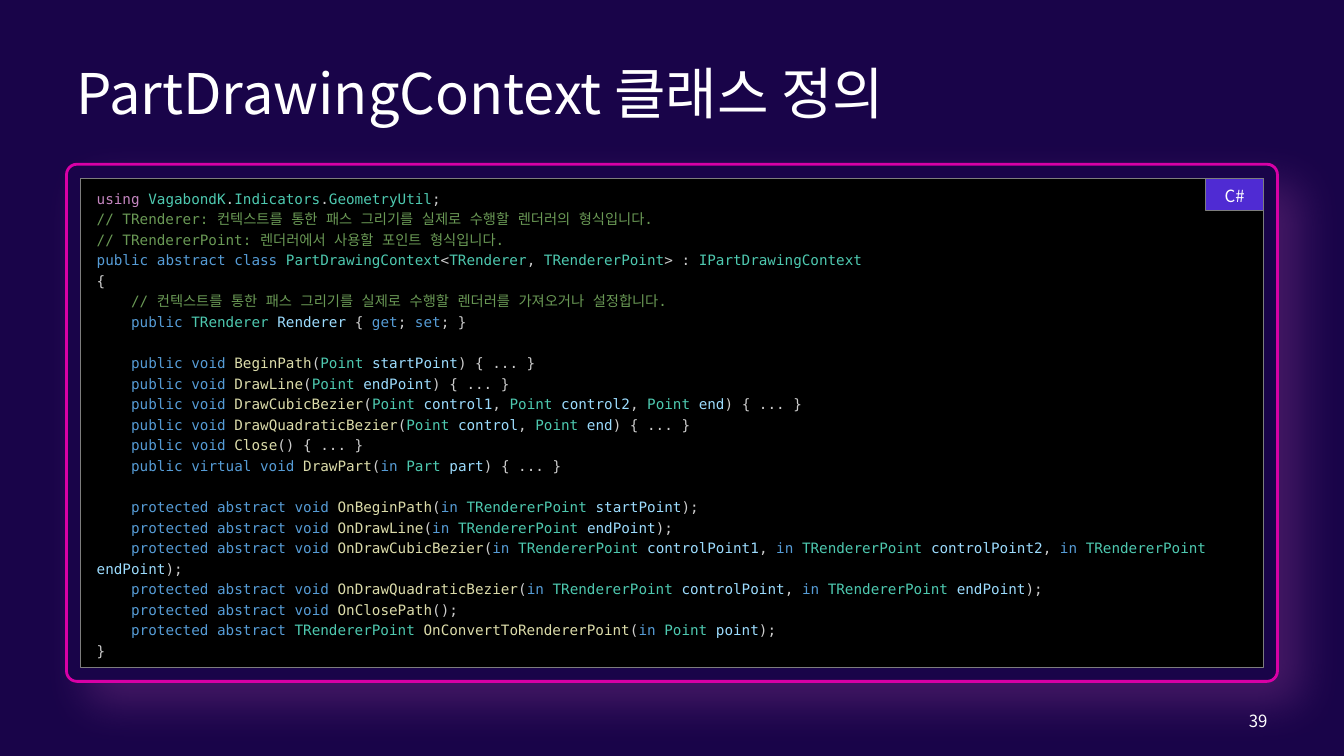
from itertools import groupby

from lxml import etree
from pptx import Presentation
from pptx.dml.color import RGBColor
from pptx.enum.shapes import MSO_SHAPE
from pptx.enum.text import MSO_ANCHOR, PP_ALIGN
from pptx.oxml.ns import qn
from pptx.util import Inches, Pt

RECTANGLE, ROUNDED = MSO_SHAPE.RECTANGLE, MSO_SHAPE.ROUNDED_RECTANGLE
MIDDLE = MSO_ANCHOR.MIDDLE
LEFT, CENTER, RIGHT = PP_ALIGN.LEFT, PP_ALIGN.CENTER, PP_ALIGN.RIGHT

NAVY = RGBColor(0x19, 0x04, 0x49)
MAGENTA = RGBColor(0xD8, 0x00, 0xA6)
VIOLET = RGBColor(0x4F, 0x2B, 0xD3)
GRAY = RGBColor(0x7D, 0x7D, 0x7D)
BLACK = RGBColor(0x00, 0x00, 0x00)
WHITE = RGBColor(0xFF, 0xFF, 0xFF)
IMPORT_COLOR = RGBColor(0xC5, 0x86, 0xC0)
KEYWORD_COLOR = RGBColor(0x56, 0x9C, 0xD6)
TYPE_COLOR = RGBColor(0x4E, 0xC9, 0xB0)
METHOD_COLOR = RGBColor(0xDC, 0xDC, 0xAA)
VARIABLE_COLOR = RGBColor(0x9C, 0xDC, 0xFE)
COMMENT_COLOR = RGBColor(0x6A, 0x99, 0x55)
SYMBOL_COLOR = RGBColor(0xCC, 0xCC, 0xCC)

TEXT_FONT, CODE_FONT = "Noto Sans CJK KR", "DejaVu Sans Mono"
CODE_SIZE, CODE_SPACING = 10.2, 1.2
KEYWORDS = {"public", "protected", "abstract", "virtual", "class", "void", "get", "set", "in"}
CODE_LINES = [
    "using VagabondK.Indicators.GeometryUtil;",
    "// TRenderer: 컨텍스트를 통한 패스 그리기를 실제로 수행할 렌더러의 형식입니다.",
    "// TRendererPoint: 렌더러에서 사용할 포인트 형식입니다.",
    "public abstract class PartDrawingContext<TRenderer, TRendererPoint> : IPartDrawingContext",
    "{",
    "    // 컨텍스트를 통한 패스 그리기를 실제로 수행할 렌더러를 가져오거나 설정합니다.",
    "    public TRenderer Renderer { get; set; }",
    "",
    "    public void BeginPath(Point startPoint) { ... }",
    "    public void DrawLine(Point endPoint) { ... }",
    "    public void DrawCubicBezier(Point control1, Point control2, Point end) { ... }",
    "    public void DrawQuadraticBezier(Point control, Point end) { ... }",
    "    public void Close() { ... }",
    "    public virtual void DrawPart(in Part part) { ... }",
    "",
    "    protected abstract void OnBeginPath(in TRendererPoint startPoint);",
    "    protected abstract void OnDrawLine(in TRendererPoint endPoint);",
    "    protected abstract void OnDrawCubicBezier(in TRendererPoint controlPoint1, "
    "in TRendererPoint controlPoint2, in TRendererPoint endPoint);",
    "    protected abstract void OnDrawQuadraticBezier(in TRendererPoint controlPoint, "
    "in TRendererPoint endPoint);",
    "    protected abstract void OnClosePath();",
    "    protected abstract TRendererPoint OnConvertToRendererPoint(in Point point);",
    "}",
]


def add_run(paragraph, text, font_name, size, color):
    run = paragraph.add_run()
    run.text = text
    for name, value in {"name": font_name, "size": Pt(size)}.items():
        setattr(run.font, name, value)
    run.font.color.rgb = color
    east_asian = etree.SubElement(run.font._element, qn("a:ea"))
    east_asian.set("typeface", font_name)


def token_color(token, following):
    if token == "using":
        return IMPORT_COLOR
    if token in KEYWORDS:
        return KEYWORD_COLOR
    if not token.isalnum():
        return SYMBOL_COLOR
    if following.startswith("("):
        return METHOD_COLOR
    if token[0].islower() or token == "Renderer":
        return VARIABLE_COLOR
    return TYPE_COLOR


presentation = Presentation()
presentation.slide_width, presentation.slide_height = Inches(13.33), Inches(7.5)
slide = presentation.slides.add_slide(presentation.slide_layouts[6])
slide.background.fill.solid()
slide.background.fill.fore_color.rgb = NAVY

# Layout: one margin for all parts, the code panel inset in its frame
margin = Inches(0.66)
content_width = presentation.slide_width - 2 * margin
frame_top, frame_height = Inches(1.63), Inches(5.13)
inset = Inches(0.14)
panel_left, panel_top = margin + inset, frame_top + inset
panel_width, panel_height = content_width - 2 * inset, frame_height - 2 * inset
badge_width, badge_height = Inches(0.57), Inches(0.32)
number_width = Inches(1.56)

# Frame, code panel and language badge
boxes = {}
for name, kind, box, fill, line, line_width in [
    ("frame", ROUNDED, (margin, frame_top, content_width, frame_height), NAVY, MAGENTA, 2),
    ("code", RECTANGLE, (panel_left, panel_top, panel_width, panel_height), BLACK, GRAY, 0.75),
    ("badge", RECTANGLE, (panel_left + panel_width - badge_width, panel_top,
                          badge_width, badge_height), VIOLET, GRAY, 0.75),
]:
    shape = slide.shapes.add_shape(kind, *box)
    shape.shadow.inherit = False
    shape.fill.solid()
    shape.fill.fore_color.rgb = fill
    shape.line.color.rgb = line
    shape.line.width = Pt(line_width)
    boxes[name] = shape
boxes["frame"].adjustments[0] = 0.02

# Pink glow below and to the right of the frame
effects = boxes["frame"]._element.spPr.find(qn("a:effectLst"))
glow = etree.SubElement(effects, qn("a:outerShdw"), blurRad=str(Pt(32)), dist=str(Pt(21)),
                        dir=str(45 * 60000), algn="tl", rotWithShape="0")
glow_color = etree.SubElement(glow, qn("a:srgbClr"), val="E566CC")
etree.SubElement(glow_color, qn("a:alpha"), val="22000")

# Title and slide number
boxes["title"] = slide.shapes.add_textbox(margin, Inches(0.4), content_width, Inches(1.03))
boxes["number"] = slide.shapes.add_textbox(
    margin + content_width - number_width, Inches(6.95), number_width, Inches(0.4))

# Single-line labels
for name, text, size, alignment in [
    ("title", "PartDrawingContext 클래스 정의", 40, LEFT),
    ("number", "39", 12, RIGHT),
    ("badge", "C#", 12, CENTER),
]:
    frame = boxes[name].text_frame
    frame.word_wrap = True
    frame.vertical_anchor = MIDDLE
    paragraph = frame.paragraphs[0]
    paragraph.alignment = alignment
    add_run(paragraph, text, TEXT_FONT, size, WHITE)
badge_format = {"margin_left": 0, "margin_right": 0, "margin_top": 0, "margin_bottom": 0}
for name, value in badge_format.items():
    setattr(boxes["badge"].text_frame, name, value)
boxes["badge"].text_frame.paragraphs[0].line_spacing = 1.1

# Code, coloured token by token; an empty line becomes space before the next one
code_frame = boxes["code"].text_frame
code_format = {"word_wrap": True, "vertical_anchor": MIDDLE,
               "margin_left": Inches(0.16), "margin_right": Inches(0.16),
               "margin_top": Inches(0.12), "margin_bottom": Inches(0.12)}
for name, value in code_format.items():
    setattr(code_frame, name, value)
paragraph = code_frame.paragraphs[0]
after_gap = False
for index, line in enumerate(CODE_LINES):
    if not line:
        after_gap = True
        continue
    if index:
        paragraph = code_frame.add_paragraph()
    paragraph.alignment = LEFT
    paragraph.line_spacing = CODE_SPACING
    if after_gap:
        paragraph.space_before = Pt(14.67)
        after_gap = False
    if line.lstrip().startswith("//"):
        add_run(paragraph, line, CODE_FONT, CODE_SIZE, COMMENT_COLOR)
        continue
    tokens = ["".join(group) for _, group in groupby(line, str.isalnum)]
    for token, following in zip(tokens, tokens[1:] + [""]):
        add_run(paragraph, token, CODE_FONT, CODE_SIZE, token_color(token, following))

presentation.save("out.pptx")
